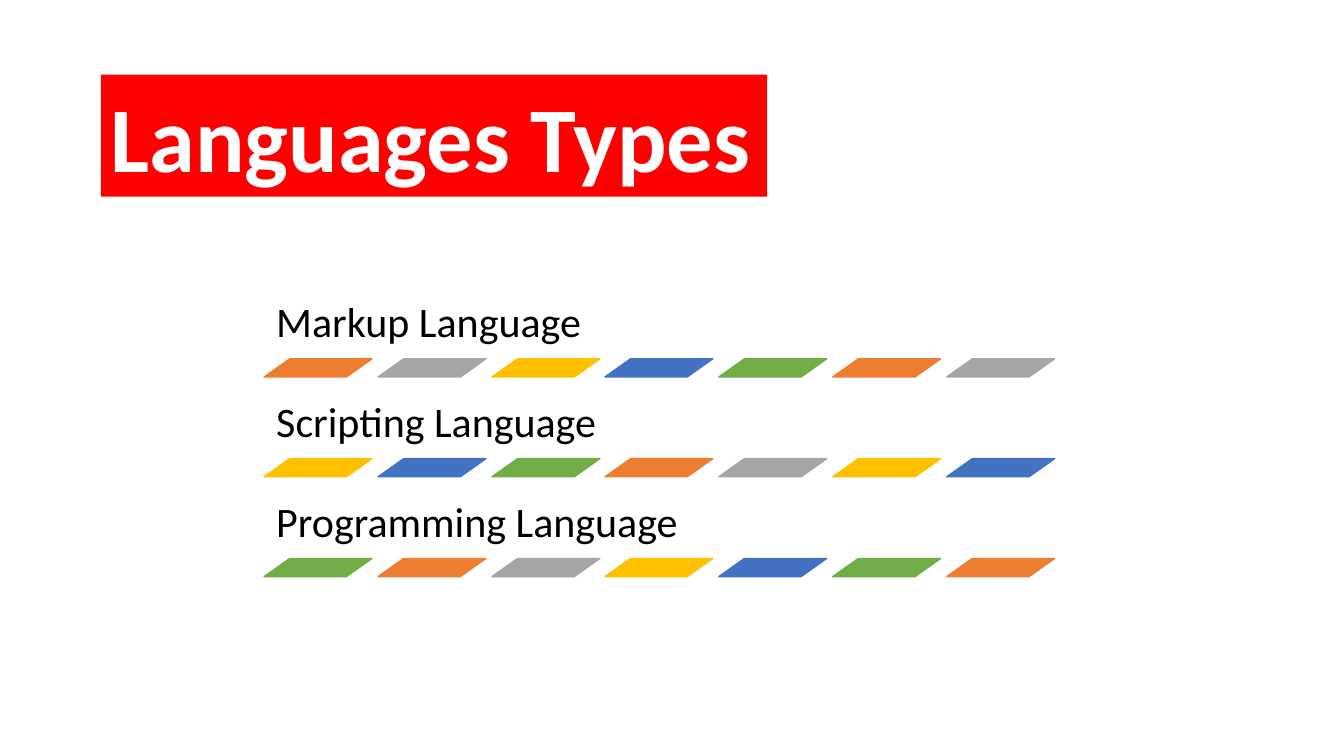
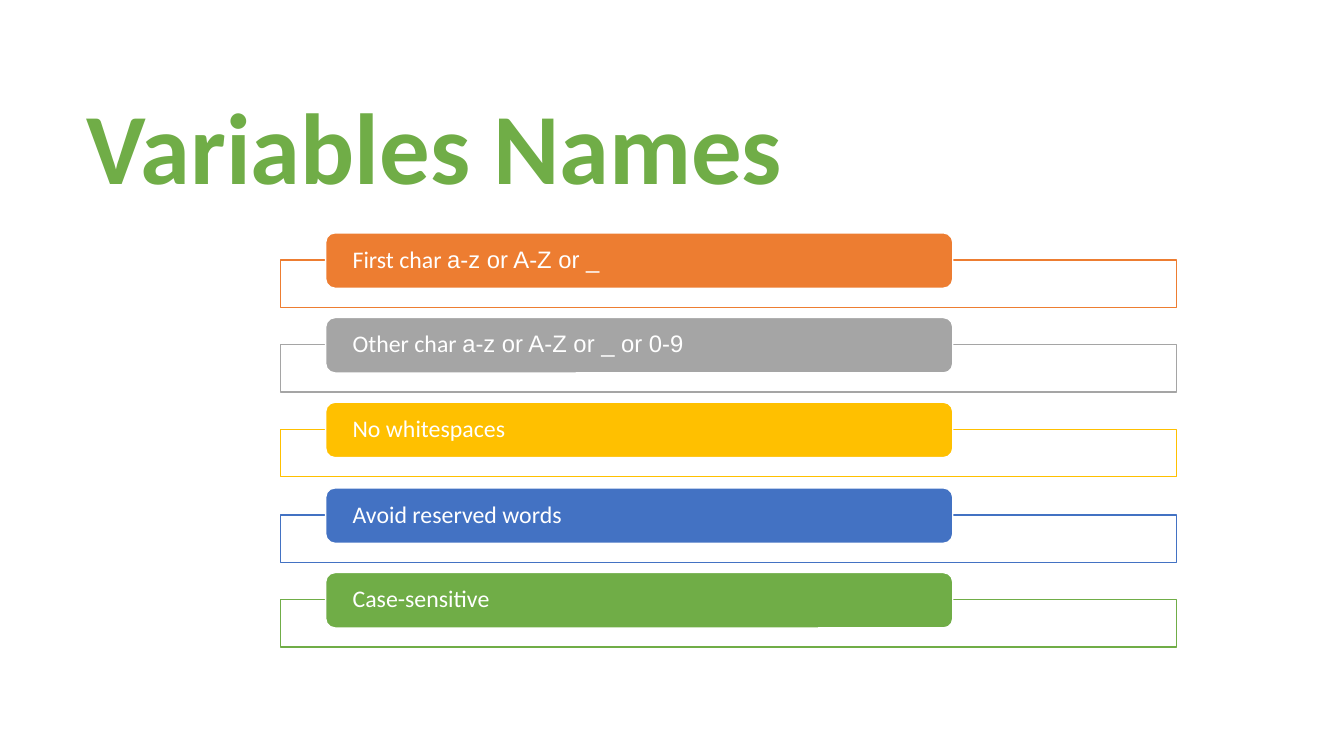
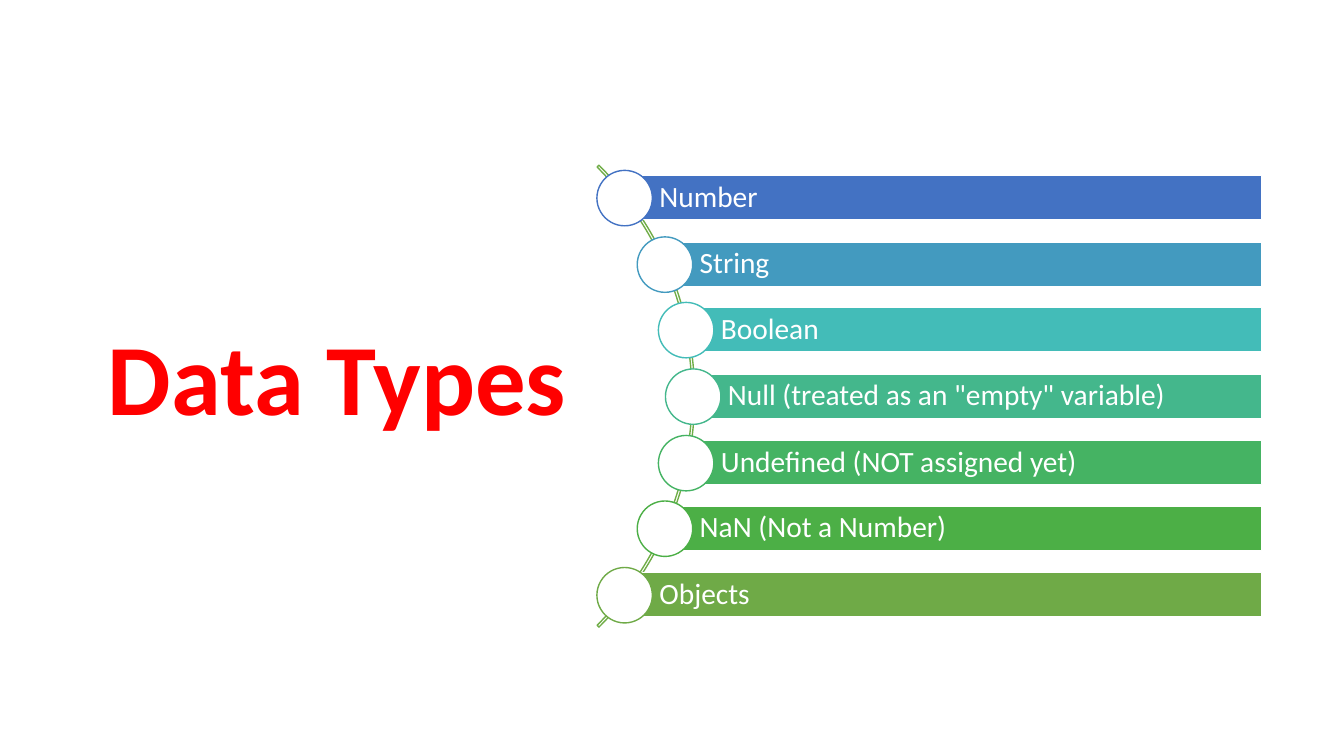
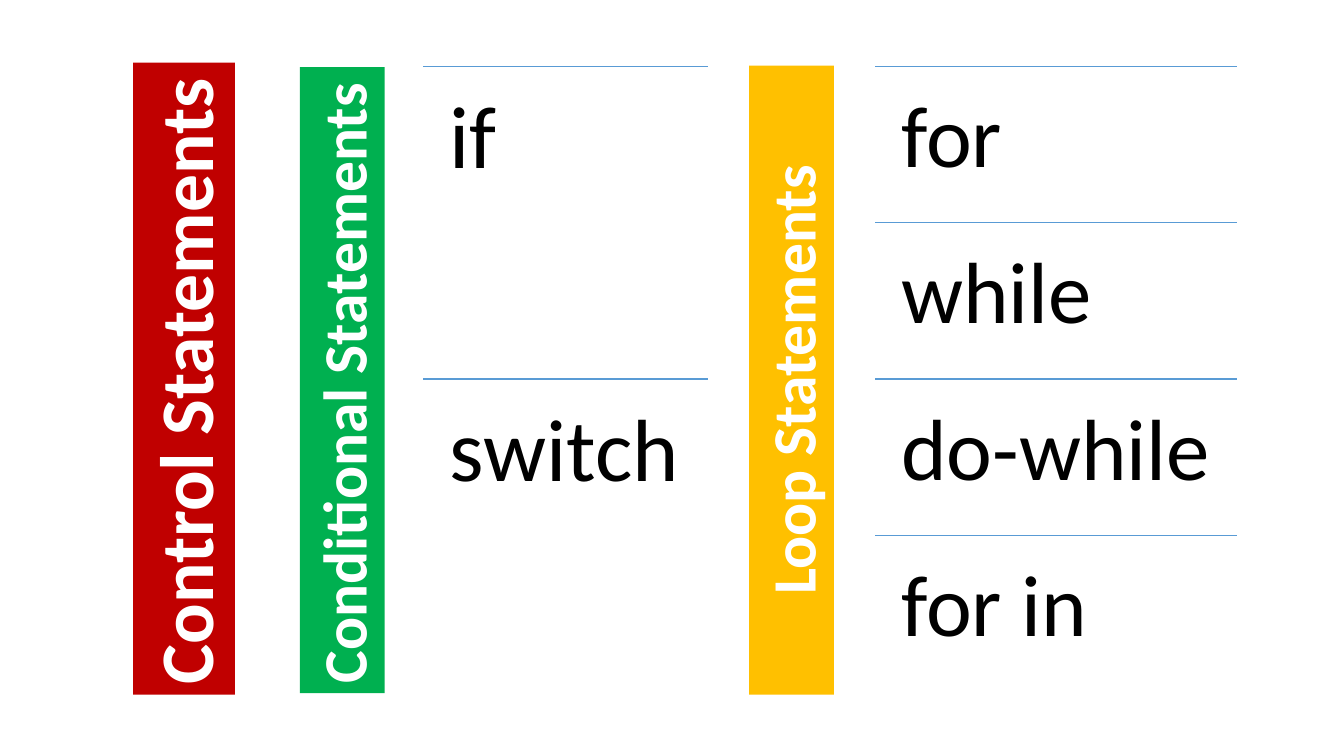
from dataclasses import dataclass
from math import sqrt

from lxml.etree import SubElement
from pptx import Presentation
from pptx.dml.color import RGBColor
from pptx.enum.shapes import MSO_CONNECTOR, MSO_SHAPE
from pptx.enum.text import MSO_ANCHOR, MSO_AUTO_SIZE, PP_ALIGN
from pptx.oxml.ns import qn
from pptx.presentation import Presentation as Deck
from pptx.shapes.autoshape import Shape
from pptx.slide import Slide
from pptx.util import Emu, Pt

EMU_PER_PX = 9144
TITLE_ONLY = 5
FONT = "Calibri"
WHITE, BLACK, RED, GREEN = "FFFFFF", "000000", "FF0000", "70AD47"
AMBER, DIVIDER = "FFC000", "599BD5"
ACCENTS = ("ED7D31", "A5A5A5", AMBER, "4372C3", GREEN)


@dataclass(frozen=True)
class Box:
    left: int
    top: int
    width: int
    height: int

    def turned(self) -> "Box":
        shift = (self.width - self.height) // 2
        return Box(self.left + shift, self.top - shift, self.height, self.width)

    def emu(self) -> tuple[Emu, Emu, Emu, Emu]:
        return px(self.left), px(self.top), px(self.width), px(self.height)


@dataclass(frozen=True)
class TextStyle:
    size: int
    colour: str = WHITE
    bold: bool = False
    spacing: float = 0.9
    insets: tuple[int, int, int, int] = (10, 5, 10, 5)
    anchor: MSO_ANCHOR = MSO_ANCHOR.TOP
    alignment: PP_ALIGN = PP_ALIGN.LEFT
    wrap: bool = True


@dataclass(frozen=True)
class Part:
    text: str
    font: str = FONT


@dataclass(frozen=True)
class DataType:
    name: str
    colour: str


@dataclass(frozen=True)
class StatementList:
    left: int
    width: int
    size: int
    names: tuple[str, ...]


LANGUAGES = ("Markup Language", "Scripting Language", "Programming Language")
NAME_RULES = (
    (Part("First char "), Part("a-z or A-Z or _", "Arial")),
    (Part("Other char "), Part("a-z or A-Z or _ or 0-9", "Arial")),
    (Part("No whitespaces"),),
    (Part("Avoid reserved words"),),
    (Part("Case-sensitive"),),
)
DATA_TYPES = (
    DataType("Number", "4372C3"),
    DataType("String", "439ABF"),
    DataType("Boolean", "43BCB8"),
    DataType('Null (treated as an "empty" variable)', "44B78C"),
    DataType("Undefined (NOT assigned yet)", "45B363"),
    DataType("NaN (Not a Number)", "4CAF46"),
    DataType("Objects", "6FAA47"),
)
STATEMENT_LISTS = (
    StatementList(420, 282, 63, ("if", "switch")),
    StatementList(868, 359, 62, ("for", "while", "do-while", "for in")),
)


def px(length: int) -> Emu:
    return Emu(length * EMU_PER_PX)


def rgb(colour: str) -> RGBColor:
    return RGBColor.from_string(colour)


def spread(first: int, last: int, count: int) -> list[int]:
    return [round(first + (last - first) * index / (count - 1)) for index in range(count)]


def write(shape: Shape, parts: tuple[Part, ...], style: TextStyle) -> None:
    text_frame = shape.text_frame
    text_frame.auto_size = MSO_AUTO_SIZE.NONE
    text_frame.word_wrap = style.wrap
    text_frame.vertical_anchor = style.anchor
    left, top, right, bottom = map(px, style.insets)
    text_frame.margin_left, text_frame.margin_top = left, top
    text_frame.margin_right, text_frame.margin_bottom = right, bottom
    paragraph = text_frame.paragraphs[0]
    paragraph.alignment = style.alignment
    paragraph.line_spacing = style.spacing
    for part in parts:
        run = paragraph.add_run()
        run.text = part.text
        run.font.name = part.font
        run.font.size = Pt(style.size)
        run.font.bold = style.bold
        run.font.color.rgb = rgb(style.colour)


def paint(shape: Shape, fill: str | None, line: str | None = None) -> None:
    if fill:
        shape.fill.solid()
        shape.fill.fore_color.rgb = rgb(fill)
    else:
        shape.fill.background()
    if line:
        shape.line.color.rgb = rgb(line)
        shape.line.width = Pt(1)
    else:
        shape.line.fill.background()


def add_figure(slide: Slide, preset: MSO_SHAPE, box: Box, fill: str | None,
               line: str | None = None, adjustments: tuple[float, ...] = ()) -> Shape:
    shape = slide.shapes.add_shape(preset, *box.emu())
    shape.shadow.inherit = False
    for index, value in enumerate(adjustments):
        shape.adjustments[index] = value
    paint(shape, fill, line)
    return shape


def add_label(slide: Slide, box: Box, text: str, style: TextStyle) -> None:
    write(slide.shapes.add_textbox(*box.emu()), (Part(text),), style)


def heading_style(size: int, colour: str = WHITE,
                  alignment: PP_ALIGN = PP_ALIGN.LEFT) -> TextStyle:
    return TextStyle(size, colour, bold=True, spacing=1.0, alignment=alignment, wrap=False)


def add_titled_slide(presentation: Deck, title: str, box: Box, fill: str,
                     style: TextStyle, rotation: int = 0) -> Slide:
    slide = presentation.slides.add_slide(presentation.slide_layouts[TITLE_ONLY])
    shape = slide.shapes.title
    shape.left, shape.top, shape.width, shape.height = box.emu()
    shape.rotation = rotation
    paint(shape, fill)
    write(shape, (Part(title),), style)
    return slide


def add_divider(slide: Slide, left: int, top: int, width: int) -> None:
    connector = slide.shapes.add_connector(
        MSO_CONNECTOR.STRAIGHT, px(left), px(top), px(left + width), px(top))
    connector.line.color.rgb = rgb(DIVIDER)
    connector.line.width = Pt(1)
    SubElement(connector._element.spPr, qn("a:effectLst"))


def build_language_types(presentation: Deck) -> None:
    slide = add_titled_slide(presentation, "Languages Types", Box(100, 74, 661, 121),
                             RED, heading_style(66))
    style = TextStyle(30, BLACK, insets=(12, 12, 12, 12), anchor=MSO_ANCHOR.BOTTOM)
    columns = spread(262, 939, 7)
    for row, (name, top) in enumerate(zip(LANGUAGES, spread(356, 554, len(LANGUAGES)))):
        add_label(slide, Box(262, top - 73, 800, 73), name, style)
        for column, left in enumerate(columns):
            colour = ACCENTS[(row * len(columns) + column) % len(ACCENTS)]
            add_figure(slide, MSO_SHAPE.PARALLELOGRAM, Box(left, top, 107, 18),
                       colour, colour, (1.41,))


def build_variable_names(presentation: Deck) -> None:
    slide = add_titled_slide(presentation, "Variables Names", Box(76, 78, 717, 131),
                             WHITE, heading_style(72, GREEN))
    style = TextStyle(17, insets=(24, 0, 24, 0), anchor=MSO_ANCHOR.MIDDLE)
    tops = spread(258, 595, len(NAME_RULES))
    for parts, colour, top in zip(NAME_RULES, ACCENTS, tops):
        frame = add_figure(slide, MSO_SHAPE.RECTANGLE, Box(278, top, 889, 47), WHITE, colour)
        white_fill = frame._element.spPr.find(qn("a:solidFill"))[0]
        SubElement(white_fill, qn("a:alpha")).set("val", "90000")
        bar = add_figure(slide, MSO_SHAPE.ROUNDED_RECTANGLE, Box(323, top - 27, 622, 55),
                         colour, WHITE, (0.17,))
        write(bar, parts, style)


def build_data_types(presentation: Deck) -> None:
    slide = add_titled_slide(presentation, "Data Types", Box(97, 307, 479, 131),
                             WHITE, heading_style(72, RED))
    style = TextStyle(21, insets=(35, 6, 6, 6), anchor=MSO_ANCHOR.MIDDLE)
    centre_x, centre_y, radius, right, diameter = 365, 393, 322, 1251, 55
    add_figure(slide, MSO_SHAPE.BLOCK_ARC, Box(41, 69, 648, 648), None, GREEN,
               (189, 27, 0.004))
    for data_type, middle in zip(DATA_TYPES, spread(196, 590, len(DATA_TYPES))):
        left = centre_x + int(sqrt(radius ** 2 - (middle - centre_y) ** 2))
        bar = add_figure(slide, MSO_SHAPE.RECTANGLE, Box(left, middle - 22, right - left, 44),
                         data_type.colour, WHITE)
        write(bar, (Part(data_type.name),), style)
        add_figure(slide, MSO_SHAPE.OVAL,
                   Box(left - diameter // 2, middle - diameter // 2, diameter, diameter),
                   WHITE, data_type.colour)


def build_control_statements(presentation: Deck) -> None:
    slide = add_titled_slide(presentation, "Control Statements",
                             Box(132, 62, 101, 627).turned(), "C00000",
                             heading_style(54), rotation=270)
    for text, box, fill, alignment in (
        ("Conditional Statements", Box(298, 66, 84, 621), "00B050", PP_ALIGN.LEFT),
        ("Loop Statements", Box(743, 65, 84, 624), AMBER, PP_ALIGN.CENTER),
    ):
        banner = add_figure(slide, MSO_SHAPE.RECTANGLE, box.turned(), fill)
        banner.rotation = 270
        write(banner, (Part(text),), heading_style(44, alignment=alignment))
    top, height = 66, 620
    for statements in STATEMENT_LISTS:
        style = TextStyle(statements.size, BLACK, insets=(26, 26, 20, 26))
        row_height = height // len(statements.names)
        for row, name in enumerate(statements.names):
            row_top = top + row * row_height
            add_divider(slide, statements.left, row_top, statements.width)
            add_label(slide, Box(statements.left, row_top, statements.width, row_height),
                      name, style)


def main() -> None:
    presentation = Presentation()
    presentation.slide_width, presentation.slide_height = px(1333), px(750)
    build_language_types(presentation)
    build_variable_names(presentation)
    build_data_types(presentation)
    build_control_statements(presentation)
    presentation.save("out.pptx")


if __name__ == "__main__":
    main()
